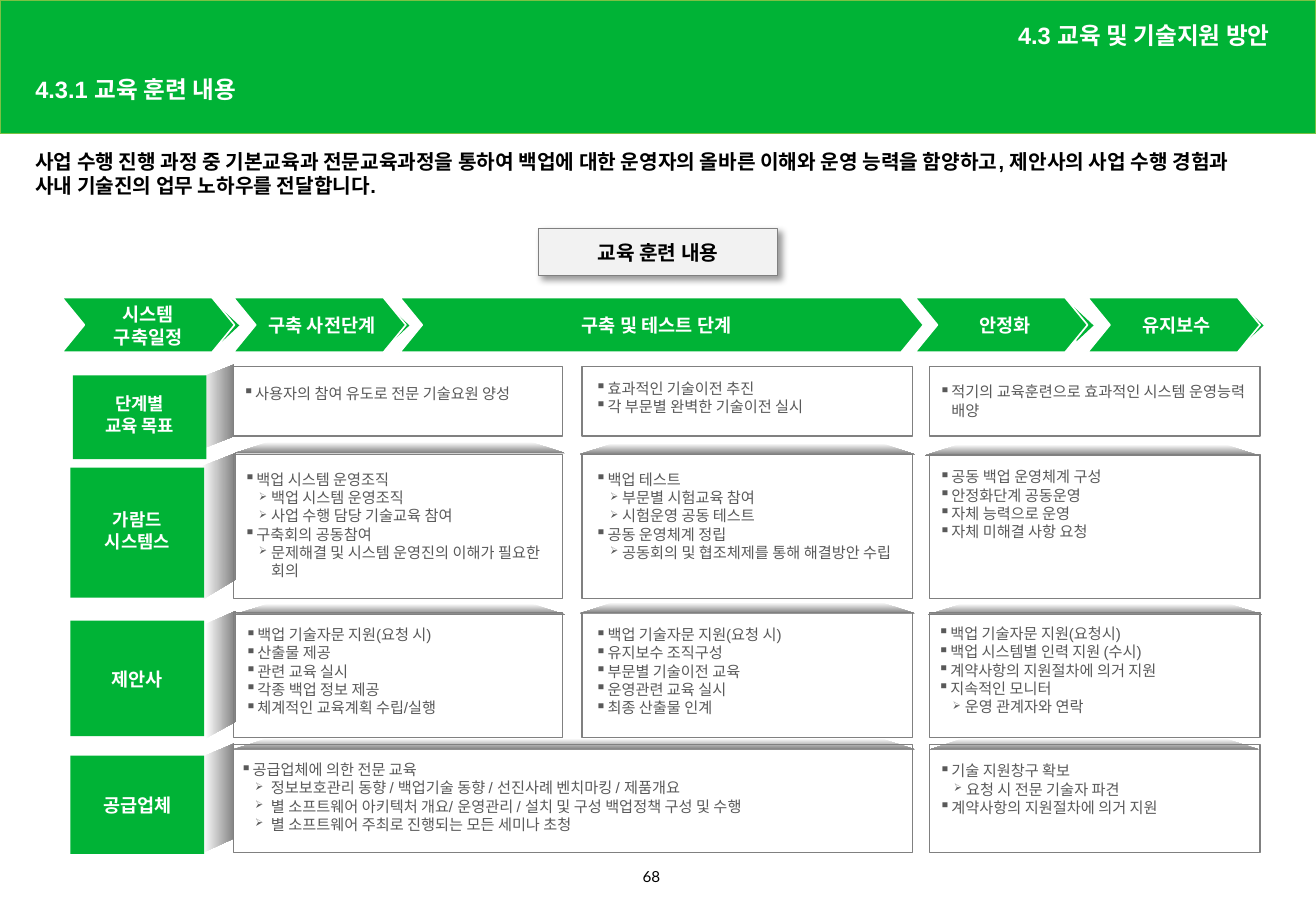
"""Build the training plan slide: phase arrows above a grid of goals and duties."""
from dataclasses import dataclass

from lxml import etree
from pptx import Presentation
from pptx import util as u
from pptx.dml.color import RGBColor
from pptx.enum import shapes, text
from pptx.oxml.ns import qn

PX = 9144
SLIDE_SIZE = (1083, 750)


@dataclass(frozen=True)
class Theme:
    green: str = "00B336"
    band_line: str = "7BC144"
    white: str = "FFFFFF"
    black: str = "000000"
    gray: str = "808080"
    card: str = "F2F2F2"
    body: str = "595959"
    font: str = "Arial"
    number_font: str = "Lato"
    heading: float = 14
    lead: float = 12
    label: float = 11
    small_label: float = 10.5
    detail: float = 9


THEME = Theme()

TITLE = "4.3.1 교육 훈련 내용"
SECTION = "4.3 교육 및 기술지원 방안"
LEAD = ("사업 수행 진행 과정 중 기본교육과 전문교육과정을 통하여 백업에 대한 운영자의 올바른 이해와 "
        "운영 능력을 함양하고, 제안사의 사업 수행 경험과 사내 기술진의 업무 노하우를 전달합니다.")
CARD = "교육 훈련 내용"
PAGE_NUMBER = "68"

# lines, left, width, tip left, label shift
PHASES = [
    (["시스템", "구축일정"], 51, 142, 181, 0),
    (["구축 사전단계"], 192, 142, 321, 2),
    (["구축 및 테스트 단계"], 329, 431, 743, -4),
    (["안정화"], 753, 142, 884, 3),
    (["유지보수"], 895, 142, 1024, 2),
]
ROW_LABELS = [
    (["단계별", "교육 목표"], (60, 309, 110, 69), THEME.small_label, 6),
    (["가람드", "시스템스"], (58, 385, 110, 107), THEME.small_label, 4),
    (["제안사"], (58, 511, 110, 95), THEME.label, 0),
    (["공급업체"], (58, 622, 110, 81), THEME.label, 0),
]
COLUMNS = [(192, 271), (479, 272), (765, 272)]
ROWS = [(302, 57), (374, 119), (504, 103), (613, 89)]
# row, first column, last column, left inset, top inset, sub-item hang, items
CELLS = [
    (0, 0, 0, 8, 14, 10, [(0, "사용자의 참여 유도로 전문 기술요원 양성")]),
    (0, 1, 1, 11, 10, 10, [(0, "효과적인 기술이전 추진"), (0, "각 부문별 완벽한 기술이전 실시")]),
    (0, 2, 2, 8, 13, 10, [(0, "적기의 교육훈련으로 효과적인 시스템 운영능력 배양")]),
    (1, 0, 0, 9, 13, 10, [
        (0, "백업 시스템 운영조직"), (1, "백업 시스템 운영조직"), (1, "사업 수행 담당 기술교육 참여"),
        (0, "구축회의 공동참여"), (1, "문제해결 및 시스템 운영진의 이해가 필요한 회의")]),
    (1, 1, 1, 11, 13, 10, [
        (0, "백업 테스트"), (1, "부문별 시험교육 참여"), (1, "시험운영 공동 테스트"),
        (0, "공동 운영체계 정립"), (1, "공동회의 및 협조체제를 통해 해결방안 수립")]),
    (1, 2, 2, 8, 11, 10, [
        (0, "공동 백업 운영체계 구성"), (0, "안정화단계 공동운영"),
        (0, "자체 능력으로 운영"), (0, "자체 미해결 사항 요청")]),
    (2, 0, 0, 10, 11, 10, [
        (0, "백업 기술자문 지원(요청 시)"), (0, "산출물 제공"), (0, "관련 교육 실시"),
        (0, "각종 백업 정보 제공"), (0, "체계적인 교육계획 수립/실행")]),
    (2, 1, 1, 11, 11, 10, [
        (0, "백업 기술자문 지원(요청 시)"), (0, "유지보수 조직구성"), (0, "부문별 기술이전 교육"),
        (0, "운영관련 교육 실시"), (0, "최종 산출물 인계")]),
    (2, 2, 2, 7, 10, 10, [
        (0, "백업 기술자문 지원(요청시)"), (0, "백업 시스템별 인력 지원 (수시)"),
        (0, "계약사항의 지원절차에 의거 지원"), (0, "지속적인 모니터"), (1, "운영 관계자와 연락")]),
    (3, 0, 1, 6, 13, 13, [
        (0, "공급업체에 의한 전문 교육"),
        (1, "정보보호관리 동향 / 백업기술 동향 / 선진사례 벤치마킹 / 제품개요"),
        (1, "별 소프트웨어 아키텍처 개요/ 운영관리 / 설치 및 구성 백업정책 구성 및 수행"),
        (1, "별 소프트웨어 주최로 진행되는 모든 세미나 초청")]),
    (3, 2, 2, 8, 14, 10, [
        (0, "기술 지원창구 확보"), (1, "요청 시 전문 기술자 파견"), (0, "계약사항의 지원절차에 의거 지원")]),
]
# left, top, width
CAPS = [(193, 364, 272), (477, 365, 276), (761, 366, 275), (193, 497, 272),
        (477, 496, 276), (764, 497, 275), (192, 608, 561), (765, 608, 271)]
# left, top, width, height, bottom slant
SIDES = [(165, 300, 28, 70, 11), (166, 373, 28, 121, 17),
         (169, 503, 25, 105, 14), (167, 612, 26, 90, 12)]


def color(code):
    return RGBColor.from_string(code)


def emu(lengths):
    return [length * PX for length in lengths]


def write(paragraph, words, size, code, bold=True, align=None, spacing=None, font=THEME.font):
    paragraph.alignment = align
    paragraph.line_spacing = spacing
    run = paragraph.add_run()
    run.text = words
    run.font.name = font
    run.font.size = u.Pt(size)
    run.font.bold = bold
    run.font.color.rgb = color(code)


def set_frame(shape, insets, anchor, wrap=True):
    frame = shape.text_frame
    frame.auto_size = text.MSO_AUTO_SIZE.NONE
    frame.word_wrap = wrap
    frame.vertical_anchor = anchor
    frame.margin_left, frame.margin_top, frame.margin_right, frame.margin_bottom = emu(insets)
    return frame


def add_box(slide, kind, box, fill=None, line=None, width=0.75):
    shape = slide.shapes.add_shape(kind, *emu(box))
    shape.shadow.inherit = False
    if fill:
        shape.fill.solid()
        shape.fill.fore_color.rgb = color(fill)
    else:
        shape.fill.background()
    if line:
        shape.line.color.rgb = color(line)
        shape.line.width = u.Pt(width)
    else:
        shape.line.fill.background()
    return shape


def add_outline(slide, points):
    builder = slide.shapes.build_freeform(*points[0], scale=PX)
    builder.add_line_segments(points[1:], close=True)
    shape = builder.convert_to_shape()
    shape.shadow.inherit = False
    shape.line.fill.background()
    return shape


def add_shade(slide, points, angle):
    fill = add_outline(slide, points).fill
    fill.gradient()
    fill.gradient_angle = angle
    for stop, position, code in zip(fill.gradient_stops, (0, 1), (THEME.white, THEME.gray)):
        stop.position = position
        stop.color.rgb = color(code)


def add_label(shape, lines, size, insets, spacing=1.05):
    frame = set_frame(shape, insets, text.MSO_ANCHOR.MIDDLE, wrap=False)
    for index, line in enumerate(lines):
        paragraph = frame.add_paragraph() if index else frame.paragraphs[0]
        write(paragraph, line, size, THEME.white, align=text.PP_ALIGN.CENTER, spacing=spacing)


def add_items(frame, items, sub_hang):
    for index, (level, words) in enumerate(items):
        paragraph = frame.add_paragraph() if index else frame.paragraphs[0]
        paragraph.level = level
        properties = paragraph._p.get_or_add_pPr()
        start, hang = (12, sub_hang) if level else (0, 10)
        properties.set("marL", str((start + hang) * PX))
        properties.set("indent", str(-hang * PX))
        if level:
            etree.SubElement(properties, qn("a:buSzPct")).set("val", "70000")
        etree.SubElement(properties, qn("a:buChar")).set("char", "➢" if level else "▪")
        write(paragraph, words, THEME.detail, THEME.body, bold=False, align=text.PP_ALIGN.LEFT)


def fill_placeholder(shape, box, words, size, code, anchor, align, spacing):
    shape.left, shape.top, shape.width, shape.height = emu(box)
    paragraph = set_frame(shape, (10, 5, 10, 5), anchor).paragraphs[0]
    properties = paragraph._p.get_or_add_pPr()
    properties.set("marL", "0")
    properties.set("indent", "0")
    etree.SubElement(properties, qn("a:buNone"))
    paragraph.space_before = u.Pt(0)
    write(paragraph, words, size, code, align=align, spacing=spacing)


def add_header(slide):
    band = add_box(slide, shapes.MSO_SHAPE.RECTANGLE, (0, 0, 1083, 110), THEME.green, THEME.band_line, 1)
    slide.shapes.element.insert(2, band.element)
    title, lead, section = slide.placeholders
    middle, left = text.MSO_ANCHOR.MIDDLE, text.PP_ALIGN.LEFT
    fill_placeholder(title, (19, 59, 640, 31), TITLE, THEME.heading, THEME.white, middle, left, 0.9)
    fill_placeholder(lead, (19, 118, 1035, 118), LEAD, THEME.lead, THEME.black, text.MSO_ANCHOR.TOP, left, 1.0)
    fill_placeholder(section, (575, 11, 480, 39), SECTION, THEME.heading, THEME.white,
                     middle, text.PP_ALIGN.RIGHT, 0.9)


def add_grid(slide):
    for left, top, width in CAPS:
        right, bottom = left + width, top + 9
        add_shade(slide, [(left, bottom), (left + 28, top), (right - 28, top), (right, bottom)], 270)
    for left, top, width, height, slant in SIDES:
        right, bottom = left + width, top + height
        add_shade(slide, [(right, top), (left, top + 11), (left, bottom), (right, bottom - slant)], 0)
    for row, first, last, inset_left, inset_top, sub_hang, items in CELLS:
        left, (top, height) = COLUMNS[first][0], ROWS[row]
        width = sum(COLUMNS[last]) - left
        box = add_box(slide, shapes.MSO_SHAPE.RECTANGLE, (left, top, width, height), line=THEME.gray)
        add_items(set_frame(box, (inset_left, inset_top, 12, 0), text.MSO_ANCHOR.TOP), items, sub_hang)
    for lines, box, size, lift in ROW_LABELS:
        label = add_box(slide, shapes.MSO_SHAPE.RECTANGLE, box, THEME.green)
        add_label(label, lines, size, (0, 0, 0, lift))


def add_phases(slide):
    for lines, left, width, tip, shift in PHASES:
        arrow_tip = add_outline(slide, [(tip, 253), (tip + 16, 268), (tip + 2, 281)])
        arrow_tip.fill.solid()
        arrow_tip.fill.fore_color.rgb = color(THEME.green)
        chevron = add_box(slide, shapes.MSO_SHAPE.CHEVRON, (left, 245, width, 45), THEME.green, THEME.white, 1)
        chevron.adjustments[0] = 0.41
        add_label(chevron, lines, THEME.label, (max(0, 2 * shift), 0, max(0, -2 * shift), 0))


def add_card(slide):
    card = add_box(slide, shapes.MSO_SHAPE.RECTANGLE, (443, 188, 197, 39), THEME.card, THEME.gray)
    effects = card.element.spPr.find(qn("a:effectLst"))
    shadow = etree.SubElement(effects, qn("a:outerShdw"), blurRad=str(u.Pt(4)), dist=str(u.Pt(3)),
                              dir="2700000", algn="tl", rotWithShape="0")
    shade = etree.SubElement(shadow, qn("a:srgbClr"), val=THEME.black)
    etree.SubElement(shade, qn("a:alpha"), val="40000")
    frame = set_frame(card, (10, 5, 10, 5), text.MSO_ANCHOR.MIDDLE)
    write(frame.paragraphs[0], CARD, THEME.lead, THEME.black, align=text.PP_ALIGN.CENTER)


def main():
    presentation = Presentation()
    presentation.slide_width, presentation.slide_height = emu(SLIDE_SIZE)
    slide = presentation.slides.add_slide(presentation.slide_layouts[3])
    add_header(slide)
    add_grid(slide)
    add_phases(slide)
    add_card(slide)
    number = slide.shapes.add_textbox(*emu((519, 709, 45, 28)))
    frame = set_frame(number, (10, 5, 10, 5), text.MSO_ANCHOR.TOP)
    write(frame.paragraphs[0], PAGE_NUMBER, THEME.detail, THEME.black, bold=False, font=THEME.number_font)
    presentation.save("out.pptx")


if __name__ == "__main__":
    main()
